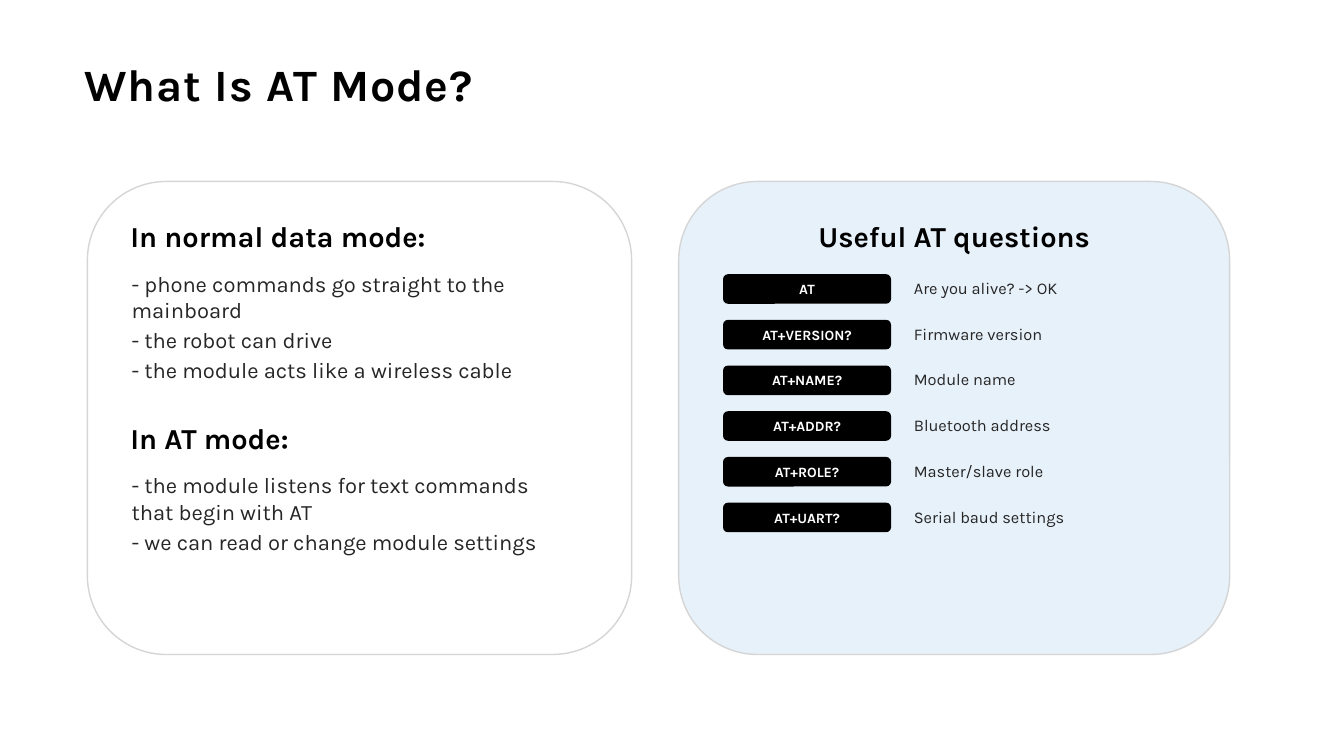
from pptx import Presentation
from pptx.dml.color import RGBColor
from pptx.enum.shapes import MSO_SHAPE
from pptx.enum.text import MSO_ANCHOR, MSO_AUTO_SIZE, PP_ALIGN
from pptx.util import Inches, Pt

TITLE = "What Is AT Mode?"
# heading, heading top, points, points height
MODES = [
    ("In normal data mode:", 1.62, [
        "- phone commands go straight to the mainboard",
        "- the robot can drive",
        "- the module acts like a wireless cable",
    ], 0.9),
    ("In AT mode:", 3.12, [
        "- the module listens for text commands that begin with AT",
        "- we can read or change module settings",
    ], 0.72),
]
QUESTIONS_HEADING = "Useful AT questions"
QUESTIONS = [
    ("AT", "Are you alive? -> OK"),
    ("AT+VERSION?", "Firmware version"),
    ("AT+NAME?", "Module name"),
    ("AT+ADDR?", "Bluetooth address"),
    ("AT+ROLE?", "Master/slave role"),
    ("AT+UART?", "Serial baud settings"),
]

FONT = "Karla"
COLORS = {"black": "000000", "body": "262626", "white": "FFFFFF",
          "pale_blue": "E7F1FA", "border": "D5D5D5"}
HEADING_SIZE, POINT_SIZE, COMMAND_SIZE, MEANING_SIZE = 15.5, 11.8, 7.6, 8.8
CARD_TOP, CARD_HEIGHT = 1.35, 3.52
POINTS_OFFSET = 0.38
ROW_TOP, ROW_STEP = 2.04, 0.34


def color(name):
    return RGBColor.from_string(COLORS[name])


def write(shape, lines, size, ink, bold=False, align=PP_ALIGN.LEFT,
          margin_x=0.02, margin_y=0.01, space_after=0):
    frame = shape.text_frame
    frame.word_wrap = True
    frame.margin_left = frame.margin_right = Inches(margin_x)
    frame.margin_top = frame.margin_bottom = Inches(margin_y)
    frame.text = "\n".join(lines)
    for paragraph in frame.paragraphs:
        paragraph.alignment = align
        paragraph.space_after = Pt(space_after)
        for run in paragraph.runs:
            run.font.name = FONT
            run.font.size = Pt(size)
            run.font.bold = bold
            run.font.color.rgb = color(ink)
    return frame


def add_text(slide, box, lines, size, ink, **style):
    text_box = slide.shapes.add_textbox(*map(Inches, box))
    frame = write(text_box, lines, size, ink, **style)
    frame.auto_size = MSO_AUTO_SIZE.SHAPE_TO_FIT_TEXT


def add_rounded(slide, box, fill, border=None):
    shape = slide.shapes.add_shape(MSO_SHAPE.ROUNDED_RECTANGLE, *map(Inches, box))
    shape.shadow.inherit = False
    shape.fill.solid()
    shape.fill.fore_color.rgb = color(fill)
    if border:
        shape.line.color.rgb = color(border)
        shape.line.width = Pt(0.75)
    else:
        shape.line.fill.background()
    return shape


def add_title(slide):
    title = slide.shapes.title
    title.left, title.top, title.width, title.height = map(
        Inches, (0.63, 0.47, 8.75, 0.73))
    frame = write(title, [TITLE], 24, "black", bold=True, margin_x=0, margin_y=0)
    frame.vertical_anchor = MSO_ANCHOR.TOP
    frame.auto_size = MSO_AUTO_SIZE.NONE
    paragraph = frame.paragraphs[0]
    paragraph.line_spacing = 0.9
    paragraph.runs[0].font._element.set("spc", "50")


def add_modes(slide):
    add_rounded(slide, (0.65, CARD_TOP, 4.05, CARD_HEIGHT), "white", "border")
    for heading, top, points, height in MODES:
        add_text(slide, (0.95, top, 3.45, 0.22), [heading],
                 HEADING_SIZE, "black", bold=True)
        add_text(slide, (0.95, top + POINTS_OFFSET, 3.3, height), points,
                 POINT_SIZE, "body", margin_x=0.03, space_after=2)


def add_questions(slide):
    add_rounded(slide, (5.05, CARD_TOP, 4.1, CARD_HEIGHT), "pale_blue", "border")
    add_text(slide, (5.35, 1.62, 3.5, 0.23), [QUESTIONS_HEADING],
             HEADING_SIZE, "black", bold=True, align=PP_ALIGN.CENTER)
    for row, (command, meaning) in enumerate(QUESTIONS):
        top = ROW_TOP + row * ROW_STEP
        pill = add_rounded(slide, (5.38, top, 1.25, 0.22), "black")
        frame = write(pill, [command], COMMAND_SIZE, "white", bold=True,
                      align=PP_ALIGN.CENTER, margin_x=0.05)
        frame.vertical_anchor = MSO_ANCHOR.MIDDLE
        add_text(slide, (6.78, top + 0.02, 1.95, 0.15), [meaning],
                 MEANING_SIZE, "body")


def main():
    presentation = Presentation()
    presentation.slide_width = Inches(10)
    presentation.slide_height = presentation.slide_width * 9 // 16
    slide = presentation.slides.add_slide(presentation.slide_layouts[5])
    add_title(slide)
    add_modes(slide)
    add_questions(slide)
    presentation.save("out.pptx")


if __name__ == "__main__":
    main()
